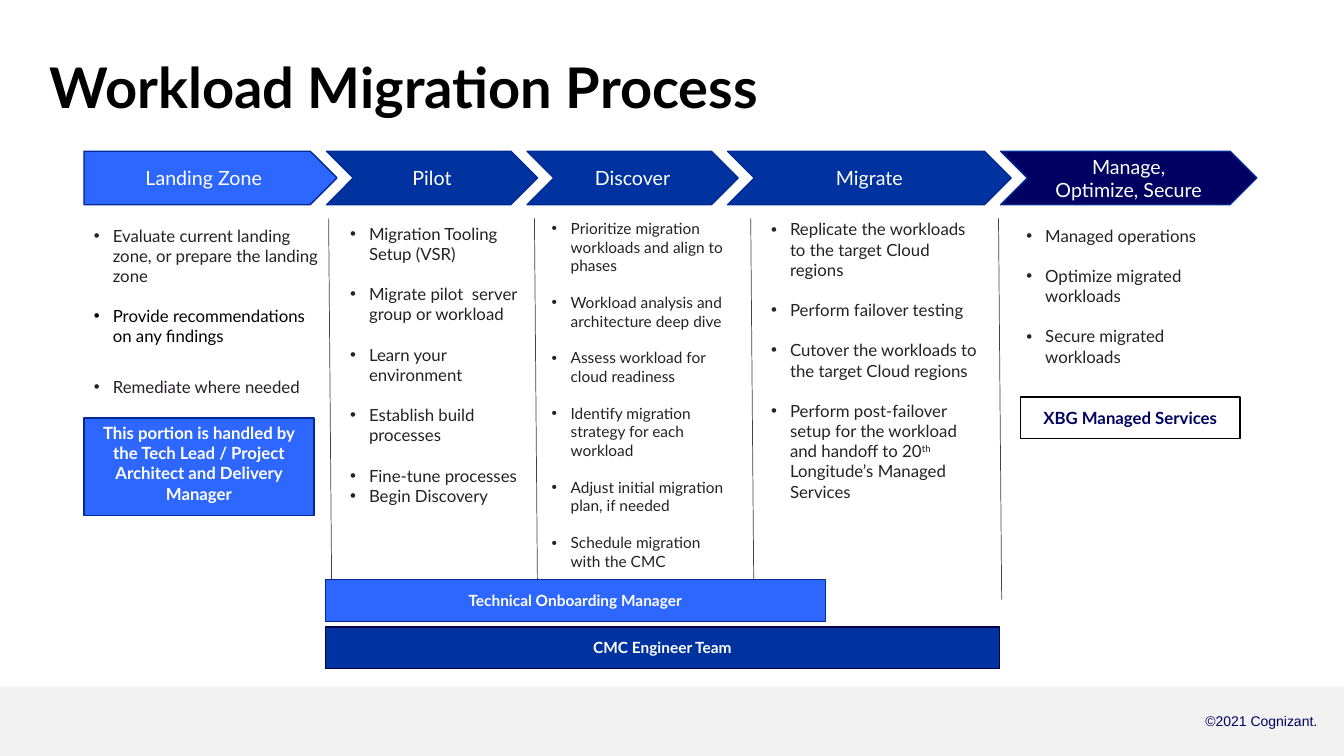
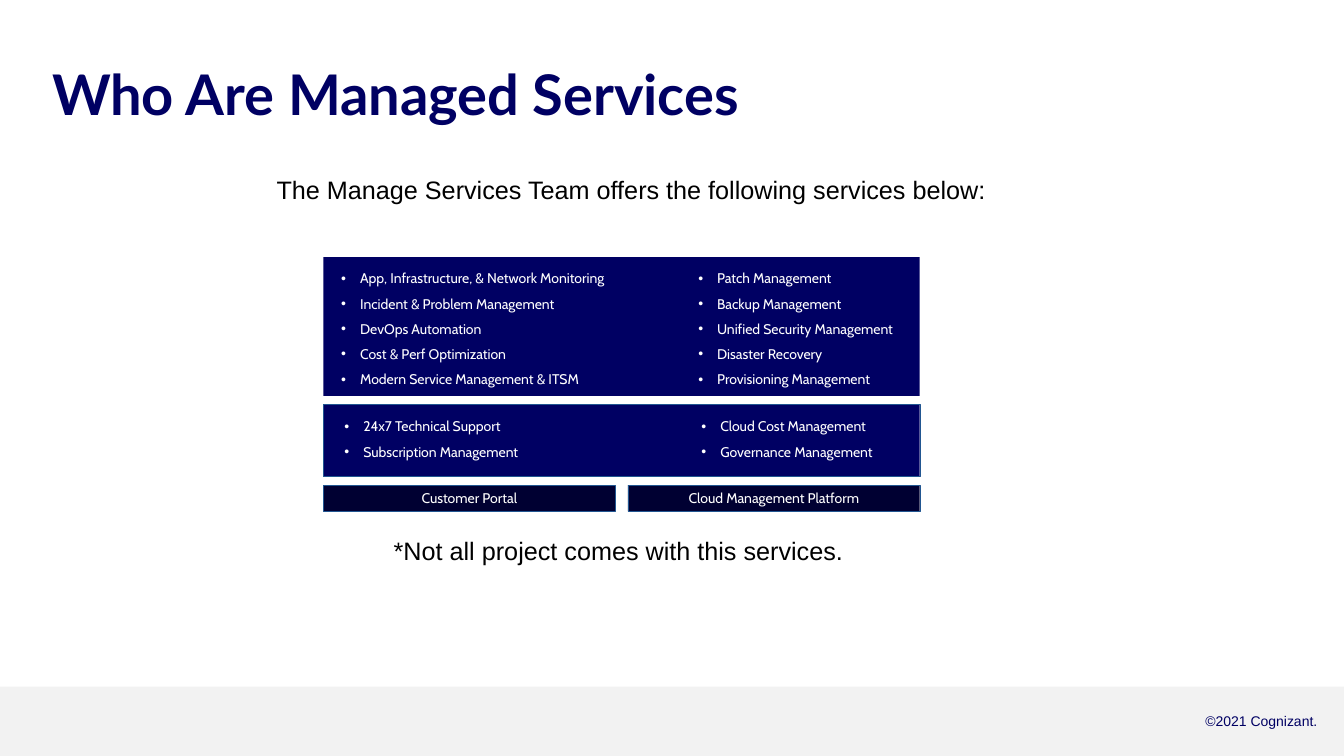
from lxml import etree
from pptx import Presentation
from pptx.dml.color import RGBColor
from pptx.enum.shapes import MSO_CONNECTOR, MSO_SHAPE
from pptx.enum.text import MSO_ANCHOR, MSO_AUTO_SIZE, PP_ALIGN
from pptx.oxml.ns import qn
from pptx.util import Pt

RECT, ARROW, NOTCH = MSO_SHAPE.RECTANGLE, MSO_SHAPE.PENTAGON, MSO_SHAPE.CHEVRON
LINE = MSO_CONNECTOR.STRAIGHT
LEFT, MID, RIGHT = PP_ALIGN.LEFT, PP_ALIGN.CENTER, PP_ALIGN.RIGHT
TOP, HALF = MSO_ANCHOR.TOP, MSO_ANCHOR.MIDDLE
FIXED = MSO_AUTO_SIZE.NONE

WHITE = RGBColor(0xFF, 0xFF, 0xFF)
BLACK = RGBColor(0, 0, 0)
INK = RGBColor(0x25, 0x21, 0x26)
GREY = RGBColor(0x40, 0x40, 0x40)
PALE = RGBColor(0xF2, 0xF2, 0xF2)
BRIGHT = RGBColor(0x2D, 0x67, 0xFF)
BLUE = RGBColor(0x00, 0x33, 0xA0)
EDGE = RGBColor(0x00, 0x29, 0x96)
NAVY = RGBColor(0x00, 0x00, 0x63)
DEEP = RGBColor(0x00, 0x00, 0x49)
NIGHT = RGBColor(0x00, 0x00, 0x32)
STEEL = RGBColor(0x21, 0x56, 0x91)

SCALE = 9525
WIDE, HIGH = 1280, 720
HANG = 18

STAGES = [
    (241, ARROW, BRIGHT, ["Landing Zone"]),
    (201, NOTCH, BLUE, ["Pilot"]),
    (201, NOTCH, BLUE, ["Discover"]),
    (270, NOTCH, BLUE, ["Migrate"]),
    (244, NOTCH, NAVY, ["Manage,", "Optimize, Secure"]),
]

TASKS = [
    (80, 210, 233, 12, [
        "Evaluate current landing zone, or prepare the landing zone",
        ("Provide recommendations on any findings", {"color": BLACK}),
        ("Remediate where needed", {"gap": 21.6}),
    ]),
    (324, 208, 190, 12, [
        "Migration Tooling Setup (VSR)",
        "Migrate pilot  server group or workload",
        "Learn your environment",
        "Establish build processes",
        "Fine-tune processes",
        ("Begin Discovery", {"gap": 0}),
    ]),
    (516, 204, 190, 11, [
        "Prioritize migration workloads and align to phases",
        "Workload analysis and architecture deep dive",
        "Assess workload for cloud readiness",
        "Identify migration strategy for each workload",
        "Adjust initial migration plan, if needed",
        "Schedule migration with the CMC",
    ]),
    (725, 204, 217, 12, [
        "Replicate the workloads to the target Cloud regions",
        "Perform failover testing",
        "Cutover the workloads to the target Cloud regions",
        "Perform post-failover setup for the workload and handoff to "
        "20^th^ Longitude’s Managed Services",
    ]),
    (968, 210, 190, 12, [
        "Managed operations",
        "Optimize migrated workloads",
        "Secure migrated workloads",
    ]),
]

OFFERS = [
    (325, 249, [
        "App, Infrastructure, & Network Monitoring",
        "Incident & Problem Management",
        "DevOps Automation",
        "Cost & Perf Optimization",
        "Modern Service Management & ITSM",
    ]),
    (665, 249, [
        "Patch Management",
        "Backup Management",
        "Unified Security Management",
        "Disaster Recovery",
        "Provisioning Management",
    ]),
    (328, 390, ["24x7 Technical Support", "Subscription Management"]),
    (668, 390, ["Cloud Cost Management", "Governance Management"]),
]


def px(*nums):
    return [round(n * SCALE) for n in nums]


def add_dot(para):
    props = para._p.get_or_add_pPr()
    hang, = px(HANG)
    props.set("marL", str(hang))
    props.set("indent", str(-hang))
    etree.SubElement(props, qn("a:buFont")).set("typeface", "Arial")
    etree.SubElement(props, qn("a:buChar")).set("char", "•")


def put_text(shape, paras, size=12, font="Lato", color=WHITE, bold=False,
             align=LEFT, anchor=TOP, dots=False, gap=0, lead=None, inset=None):
    frame = shape.text_frame
    frame.word_wrap = True
    frame.auto_size = FIXED
    frame.vertical_anchor = anchor
    if inset is not None:
        frame.margin_left = frame.margin_right = inset
        frame.margin_top = frame.margin_bottom = inset
    for i, item in enumerate(paras):
        words, extra = (item, {}) if isinstance(item, str) else item
        para = frame.add_paragraph() if i else frame.paragraphs[0]
        para.alignment = align
        if lead:
            para.line_spacing = lead
        if i:
            para.space_before = Pt(extra.get("gap", gap))
        if dots:
            add_dot(para)
        for j, part in enumerate(words.split("^")):
            run = para.add_run()
            run.text = part
            run.font.size = Pt(size)
            run.font.name = font
            run.font.bold = bold
            run.font.color.rgb = extra.get("color", color)
            if j % 2:
                run.font._element.set("baseline", "30000")


def add_text(slide, box, paras, **form):
    put_text(slide.shapes.add_textbox(*px(*box)), paras, **form)


def add_box(slide, box, fill, edge=None, width=1, kind=RECT, paras=(), **form):
    shape = slide.shapes.add_shape(kind, *px(*box))
    shape.shadow.inherit = False
    shape.fill.solid()
    shape.fill.fore_color.rgb = fill
    if edge is None:
        shape.line.fill.background()
    else:
        shape.line.color.rgb = edge
        shape.line.width = Pt(width)
    if paras:
        put_text(shape, paras, **{"align": MID, "anchor": HALF, **form})


def add_rule(slide, x):
    rule = slide.shapes.add_connector(LINE, *px(x, 208, x + 3, 571))
    rule.line.color.rgb = GREY
    rule.line.width = Pt(0.5)
    etree.SubElement(rule._element.spPr, qn("a:effectLst"))


def add_slide(deck, name, left, top, color):
    slide = deck.slides.add_slide(deck.slide_layouts[5])
    add_box(slide, (0, 654, WIDE, 66), PALE)
    add_text(slide, (1006, 674, 258, 26), ["©2021 Cognizant."],
             size=10, font="Arial", color=NAVY, align=RIGHT)
    title = slide.shapes.title
    title.left, title.top, title.width, title.height = px(left, top, 1164, 72)
    put_text(title, [name], size=40, color=color, bold=True)
    return slide


def draw_process(deck):
    slide = add_slide(deck, "Workload Migration Process", 38, 45, BLACK)
    left = 80
    for width, kind, fill, paras in STAGES:
        add_box(slide, (left, 144, width, 51), fill, EDGE, kind=kind,
                paras=paras, size=14)
        left += width - 10
    for x in (313, 509, 715, 951):
        add_rule(slide, x)
    for x, y, width, size, paras in TASKS:
        add_text(slide, (x, y, width, 340), paras, size=size, color=INK,
                 dots=True, gap=size * 1.2)
    add_box(slide, (80, 398, 219, 93), BRIGHT, EDGE, bold=True, anchor=TOP,
            paras=["This portion is handled by the Tech Lead / Project "
                   "Architect and Delivery Manager"])
    add_box(slide, (972, 378, 209, 40), WHITE, BLACK, bold=True, color=NAVY,
            paras=["XBG Managed Services"])
    add_box(slide, (310, 552, 476, 40), BRIGHT, EDGE, bold=True, size=11,
            paras=["Technical Onboarding Manager"])
    add_box(slide, (310, 597, 642, 40), BLUE, DEEP, bold=True, size=11,
            paras=["CMC Engineer Team"])


def draw_team(deck):
    slide = add_slide(deck, "Who Are Managed Services", 40, 52, NAVY)
    note = {"size": 18, "font": "Arial", "color": BLACK}
    add_text(slide, (254, 161, 720, 68),
             ["The Manage Services Team offers the following services below:"],
             **note)
    add_box(slide, (308, 245, 568, 132), NAVY)
    add_box(slide, (308, 385, 568, 69), NAVY, STEEL, 0.25)
    for x, y, paras in OFFERS:
        add_text(slide, (x, y, 278, 24 * len(paras)), paras, size=10,
                 font="Cabin", dots=True, lead=1.5, inset=0)
    for x, name in ((308, "Customer Portal"), (598, "Cloud Management Platform")):
        add_box(slide, (x, 462, 278, 25), NIGHT, STEEL, 0.25, paras=[name],
                size=10, font="Cabin")
    add_text(slide, (361, 505, 456, 68),
             ["*Not all project comes with this services."], align=MID, **note)


def main():
    deck = Presentation()
    deck.slide_width, deck.slide_height = px(WIDE, HIGH)
    draw_process(deck)
    draw_team(deck)
    deck.save("out.pptx")


if __name__ == "__main__":
    main()
